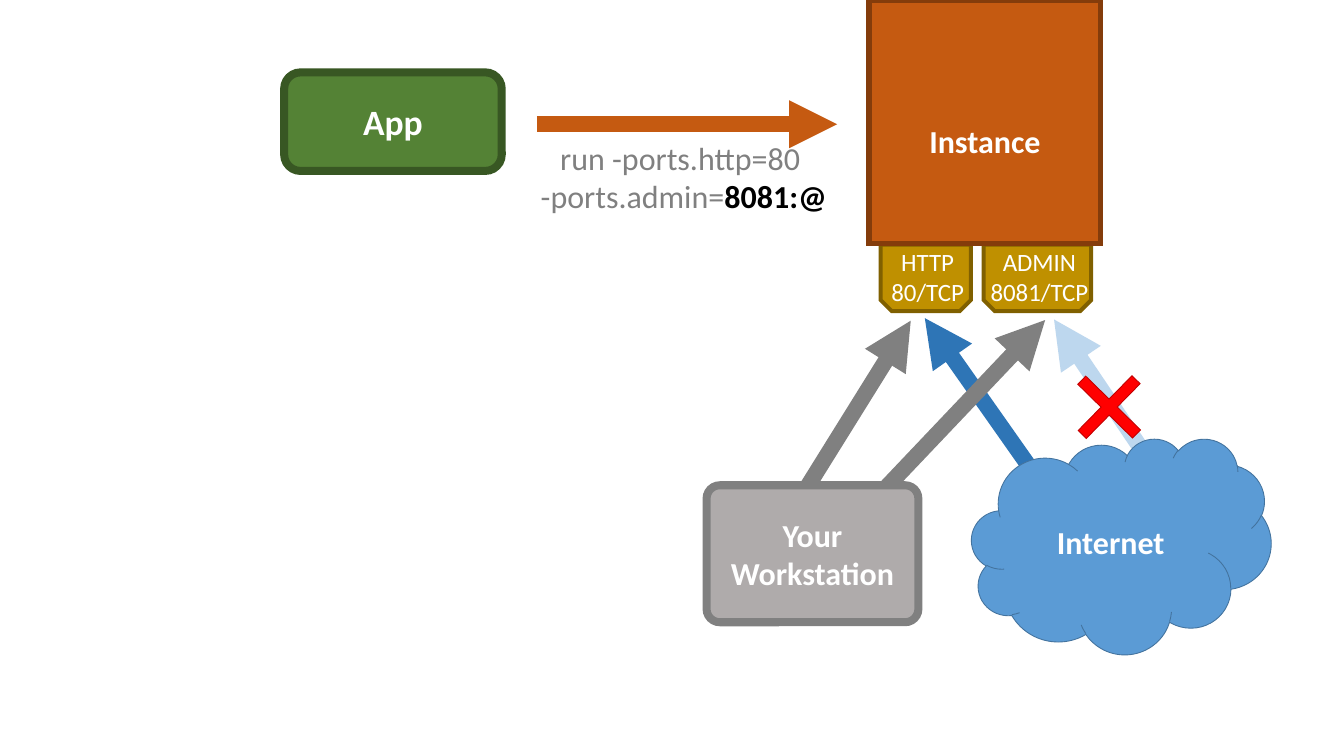
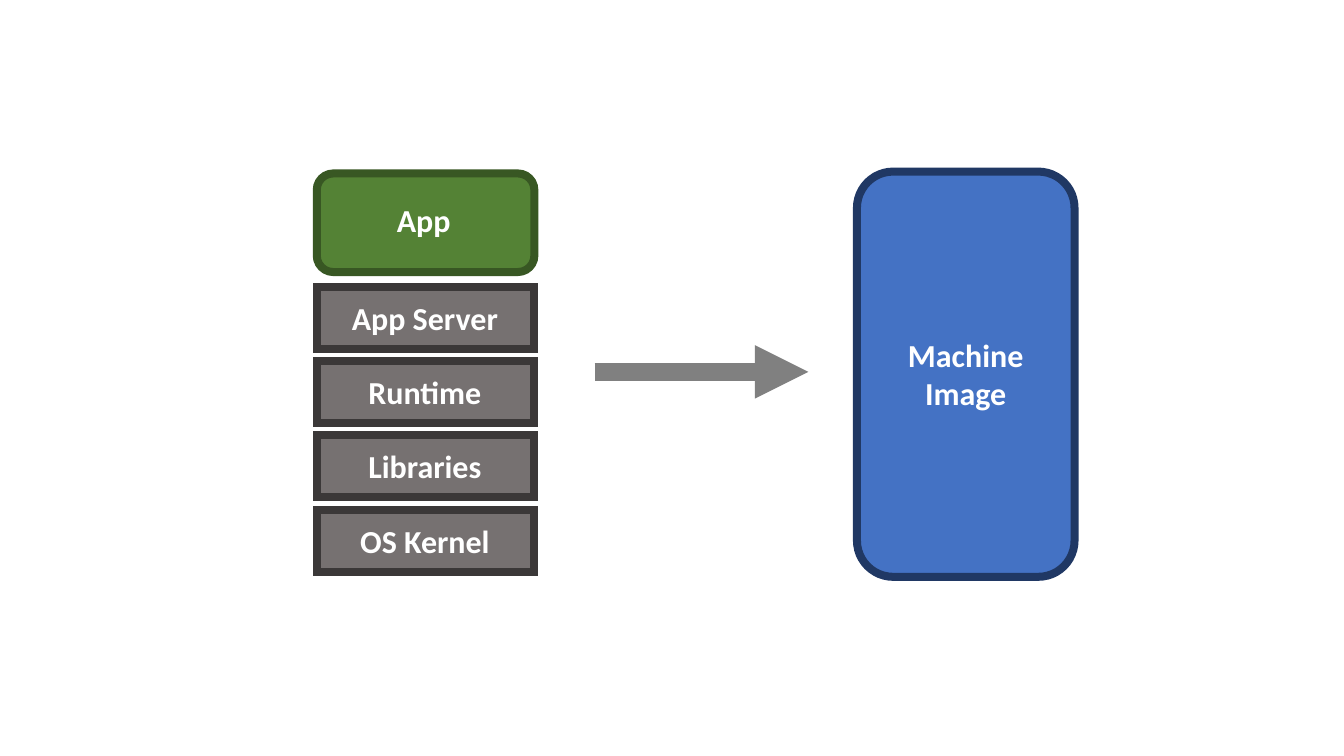
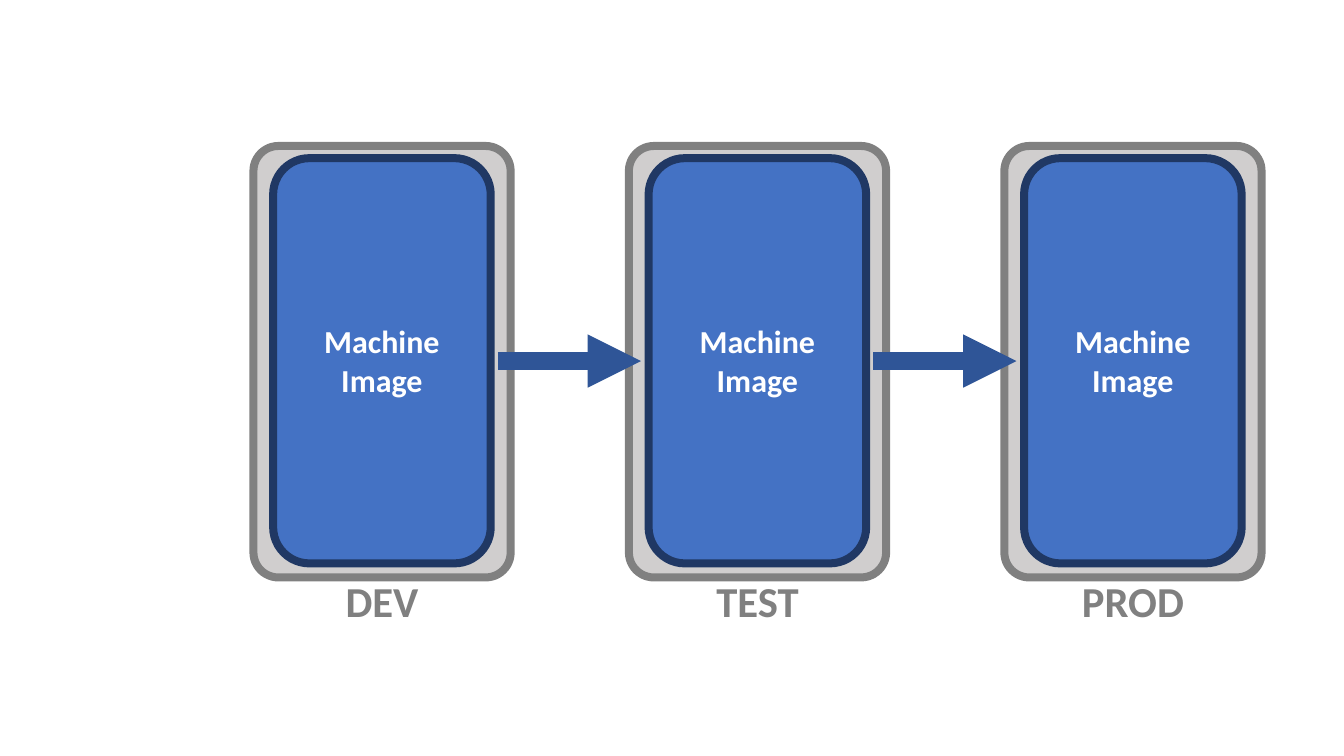
from dataclasses import dataclass

from lxml import etree
from pptx import Presentation
from pptx import util as u
from pptx.dml.color import RGBColor
from pptx.enum import shapes, text
from pptx.oxml import ns


@dataclass(frozen=True)
class Theme:
    """Colours, type sizes and line weights of the deck."""

    font: str = "Calibri"
    white: str = "FFFFFF"
    black: str = "000000"
    gray: str = "808080"
    app: tuple = ("548235", "385723")
    machine: tuple = ("4472C4", "203864")
    layer: tuple = ("767171", "3B3838")
    environment: tuple = ("D0CECE", "808080")
    workstation: tuple = ("AFABAB", "808080")
    instance: tuple = ("C55A11", "843C0B")
    port: tuple = ("BF9000", "806000")
    internet: tuple = ("5B9BD5", "43739E")
    blocked: tuple = ("FF0000", "C00000")
    launch: str = "C55A11"
    allowed: str = "2E75B6"
    denied: str = "BDD7EE"
    promotion: str = "2F5597"
    port_size: int = 28
    body_size: int = 36
    app_size: int = 40
    stage_size: int = 48
    border: float = 9


THEME = Theme()
PRESET = shapes.MSO_SHAPE
CARD_WIDTH = 244.8
APP_HEIGHT = 110.9
MACHINE_HEIGHT = 455.8


def points(*values):
    """Convert numbers to lengths in points."""
    return [u.Pt(value) for value in values]


def write(paragraph, words, *, size=THEME.body_size, color=THEME.white, bold=True):
    """Add one centred, formatted run to a paragraph."""
    paragraph.alignment = text.PP_ALIGN.CENTER
    run = paragraph.add_run()
    run.text = words
    run.font.name = THEME.font
    run.font.size = u.Pt(size)
    run.font.bold = bold
    run.font.color.rgb = RGBColor.from_string(color)


def add_box(slide, preset, box, colors, *, weight=THEME.border, rotation=0, adjustment=None):
    """Add a filled and outlined preset shape."""
    fill, outline = colors
    shape = slide.shapes.add_shape(preset, *points(*box))
    shape.shadow.inherit = False
    shape.rotation = rotation
    shape.fill.solid()
    shape.fill.fore_color.rgb = RGBColor.from_string(fill)
    shape.line.color.rgb = RGBColor.from_string(outline)
    shape.line.width = u.Pt(weight)
    line = shape.line._get_or_add_ln()
    etree.SubElement(line, ns.qn("a:miter"), lim="800000")
    if adjustment is not None:
        shape.adjustments[0] = adjustment
    return shape


def fill_text(shape, words, *, top_inset=3.6, **style):
    """Write centred words inside a shape."""
    frame = shape.text_frame
    frame.word_wrap = True
    frame.vertical_anchor = text.MSO_ANCHOR.MIDDLE
    frame.margin_top = u.Pt(top_inset)
    write(frame.paragraphs[0], words, **style)


def add_frame(slide, box, *, wrap=True):
    """Add an empty text box that grows with its text."""
    frame = slide.shapes.add_textbox(*points(*box)).text_frame
    frame.word_wrap = wrap
    frame.auto_size = text.MSO_AUTO_SIZE.SHAPE_TO_FIT_TEXT
    return frame


def add_label(slide, box, *lines, wrap=True, **style):
    """Add a text box with one paragraph for each line."""
    frame = add_frame(slide, box, wrap=wrap)
    for index, line in enumerate(lines):
        paragraph = frame.add_paragraph() if index else frame.paragraphs[0]
        write(paragraph, line, **style)


def add_arrow(slide, start, end, color, weight=18):
    """Draw a straight arrow from start to end."""
    arrow = slide.shapes.add_connector(
        shapes.MSO_CONNECTOR.STRAIGHT, *points(*start, *end))
    arrow.line.color.rgb = RGBColor.from_string(color)
    arrow.line.width = u.Pt(weight)
    line = arrow.line._get_or_add_ln()
    etree.SubElement(line, ns.qn("a:tailEnd"), type="triangle")
    etree.SubElement(arrow._element.spPr, ns.qn("a:effectLst"))


def add_app(slide, left, top):
    """Add the green card of the app."""
    box = (left, top, CARD_WIDTH, APP_HEIGHT)
    return add_box(slide, PRESET.ROUNDED_RECTANGLE, box, THEME.app)


def add_machine(slide, left, top):
    """Add a machine image card."""
    box = (left, top, CARD_WIDTH, MACHINE_HEIGHT)
    add_box(slide, PRESET.ROUNDED_RECTANGLE, box, THEME.machine)
    add_label(slide, (left + 5, top + 180.7, 234.7, 94.3), "Machine Image")


def add_port(slide, left, top, width, label_offset, label_width, *lines):
    """Add a port tab, snipped at the bottom, with its label."""
    add_box(slide, PRESET.SNIP_2_SAME_RECTANGLE, (left, top, width, 74.9),
            THEME.port, weight=4.5, rotation=180)
    add_label(slide, (left + label_offset, top - 1.4, label_width, 74.9), *lines,
              wrap=False, size=THEME.port_size, bold=False)


def add_instance(slide, left, top):
    """Add the running instance and its two ports."""
    port_top = top + 275
    add_port(slide, left + 12.9, port_top, 101.5, 3.6, 98.6, "HTTP", "80/TCP")
    add_port(slide, left + 128.8, port_top, 121, -12.2, 149.8, "ADMIN", "8081/TCP")
    instance = add_box(slide, PRESET.RECTANGLE, (left, top, 260.6, 273.6),
                       THEME.instance, weight=6)
    fill_text(instance, "Instance", top_inset=47.5)


def add_command(slide, left, top):
    """Add the launch command with its highlighted port."""
    paragraph = add_frame(slide, (left, top, 406.8, 94.3)).paragraphs[0]
    write(paragraph, "run -ports.http=80 ", color=THEME.gray, bold=False)
    paragraph.add_line_break()
    write(paragraph, "-ports.admin=", color=THEME.gray, bold=False)
    write(paragraph, "8081:@", color=THEME.black)


def add_stack(slide, left, top):
    """Add the app above the layers it runs on."""
    add_app(slide, left, top)
    add_label(slide, (left + 58.3, top + 27.4, 123.8, 51.1), "App")
    for index, name in enumerate(("App Server", "Runtime", "Libraries", "OS Kernel")):
        layer_top = top + 127.5 + index * 83.5
        add_box(slide, PRESET.RECTANGLE, (left, layer_top, CARD_WIDTH, 69.8), THEME.layer)
        add_label(slide, (left + 4.3, layer_top + 9.4, 234.7, 51.1), name)


def add_environment(slide, left, top, name, label_width):
    """Add an environment frame with its name below."""
    width = 289.4
    add_box(slide, PRESET.ROUNDED_RECTANGLE, (left, top, width, 485.3),
            THEME.environment, adjustment=0.097)
    add_label(slide, (left + (width - label_width) / 2, top + 478.8, label_width, 65.5),
              name, size=THEME.stage_size, color=THEME.gray)


def build_ports_slide(slide):
    """Show who can reach each port of the instance."""
    add_arrow(slide, (891.4, 574.6), (1024.6, 360.7), THEME.gray)
    add_arrow(slide, (1172.2, 545), (1040.4, 357.8), THEME.allowed)
    add_arrow(slide, (916.6, 632.9), (1175.8, 360), THEME.gray)
    add_arrow(slide, (1293.1, 518.4), (1185.8, 359.3), THEME.denied)
    internet = add_box(slide, PRESET.CLOUD, (1093, 493.2, 337, 242.6),
                       THEME.internet, weight=1)
    fill_text(internet, "Internet")
    add_instance(slide, 977.8, 0)
    add_arrow(slide, (604.1, 139.7), (941.8, 139.7), THEME.launch)
    fill_text(add_app(slide, 319.7, 81.4), "App", size=THEME.app_size)
    add_command(slide, 565.9, 151.9)
    workstation = add_box(slide, PRESET.ROUNDED_RECTANGLE, (794.9, 545.8, 238.3, 154.1),
                          THEME.workstation, adjustment=0.097)
    fill_text(workstation, "Your Workstation")
    add_box(slide, PRESET.CROSS, (1204.6, 414.7, 86.4, 86.4), THEME.blocked,
            weight=1, rotation=44.5, adjustment=0.426)


def build_image_slide(slide):
    """Show the whole stack becoming one machine image."""
    add_stack(slide, 356.4, 195.1)
    add_arrow(slide, (668.9, 418.3), (909.4, 418.3), THEME.gray, 20)
    add_machine(slide, 964.1, 193)


def build_stages_slide(slide):
    """Show one machine image moving through the environments."""
    top = 164.2
    stages = (("DEV", 105.1), ("TEST", 299.5), ("PROD", 299.5))
    lefts = [285.1 + index * 422.4 for index in range(len(stages))]
    for left, (name, label_width) in zip(lefts, stages):
        add_environment(slide, left, top, name, label_width)
    for left in lefts[:-1]:
        add_arrow(slide, (left + 275, top + 241.9), (left + 436, top + 241.9),
                  THEME.promotion, 20)
    for left in lefts:
        add_machine(slide, left + 22.2, top + 13.7)


def main():
    """Build the deck and save it."""
    presentation = Presentation()
    presentation.slide_width, presentation.slide_height = points(1512, 850.3)
    blank = presentation.slide_layouts[6]
    for build in (build_ports_slide, build_image_slide, build_stages_slide):
        build(presentation.slides.add_slide(blank))
    presentation.save("out.pptx")


if __name__ == "__main__":
    main()
